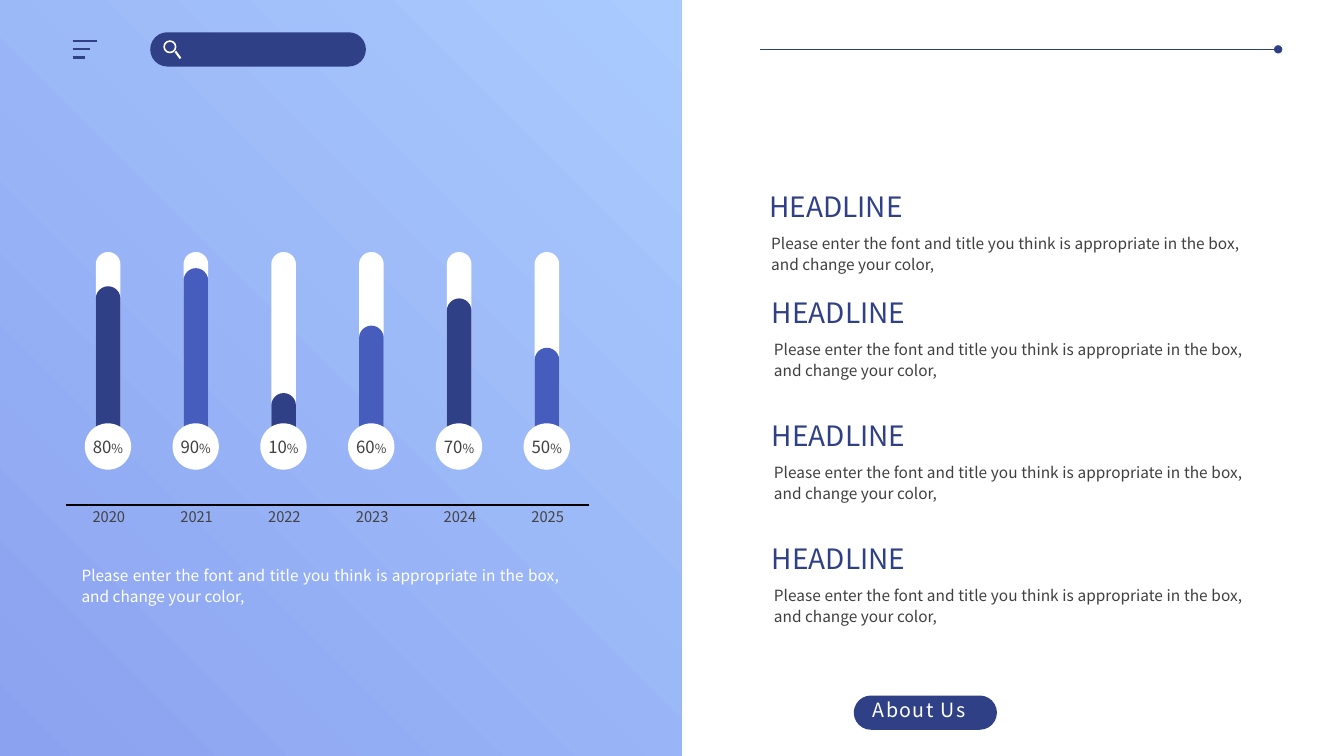
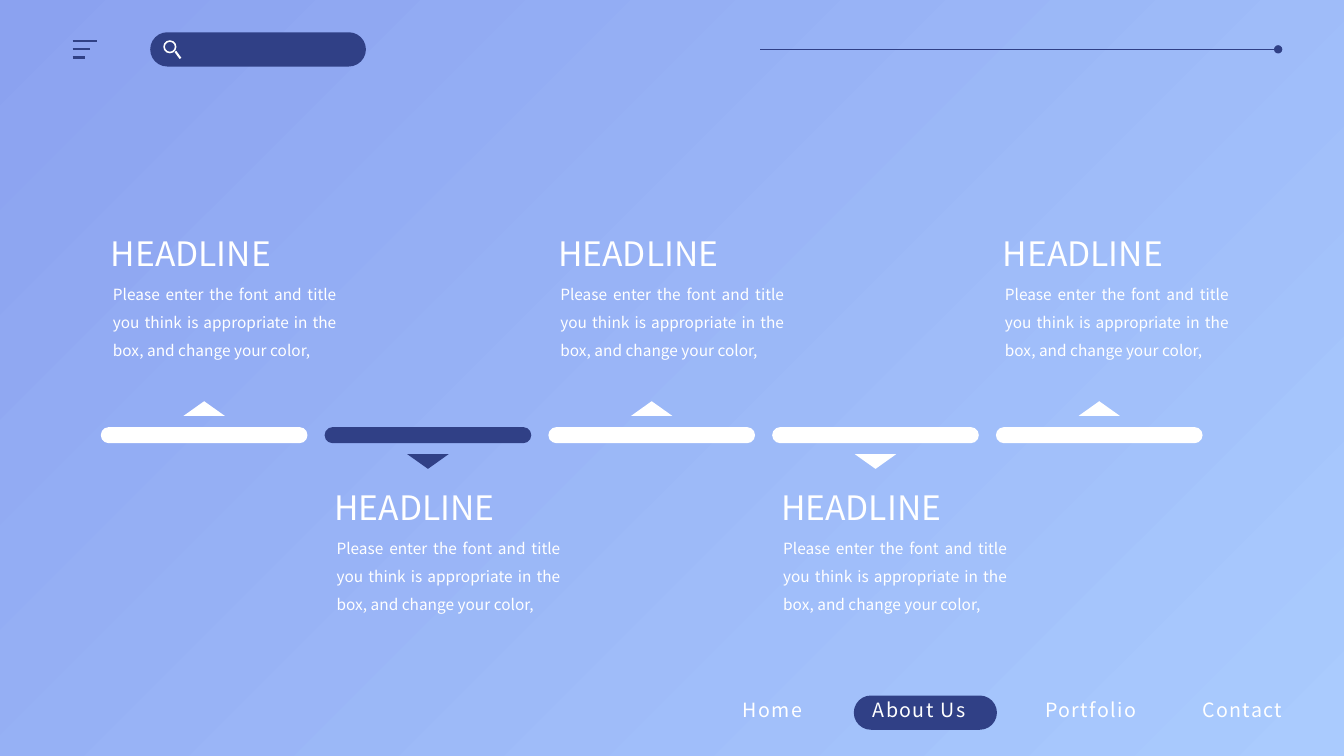
from dataclasses import dataclass
from typing import Any, NamedTuple, Optional

from lxml.etree import SubElement
from pptx import Presentation
from pptx.dml.color import RGBColor
from pptx.enum.shapes import MSO_CONNECTOR, MSO_SHAPE
from pptx.enum.text import MSO_ANCHOR, MSO_AUTO_SIZE, PP_ALIGN
from pptx.oxml.ns import qn
from pptx.util import Inches, Pt

WIDTH, HEIGHT = Inches(13.33), Inches(7.5)


@dataclass(frozen=True)
class Theme:
    font: str = "Noto Sans CJK SC"
    navy: str = "304086"
    blue: str = "475DBD"
    white: str = "FFFFFF"
    black: str = "000000"
    ink: str = "404040"
    year: str = "434343"
    sky: tuple[str, str] = ("8BA2F0", "AACBFE")
    small: float = 9
    label: float = 10.5
    body: float = 11
    value: float = 12
    nav: float = 14
    headline: float = 20
    headline_large: float = 24


THEME = Theme()


class Box(NamedTuple):
    """Left, top, width and height as percentages of the slide."""
    x: float
    y: float
    w: float
    h: float

    def emu(self) -> dict[str, int]:
        return {"left": across(self.x), "top": down(self.y),
                "width": across(self.w), "height": down(self.h)}


class Run(NamedTuple):
    text: str
    size: float
    color: str


class Bar(NamedTuple):
    year: str
    percent: int
    height: float


class NavItem(NamedTuple):
    label: str
    x: float
    w: float


class Step(NamedTuple):
    card_x: float
    color: str
    points_up: bool


@dataclass(frozen=True)
class CardStyle:
    title_size: float
    title_color: str
    body_color: str
    title_h: float
    body_w: float
    body_h: float
    spacing: float


HEADLINE = "HEADLINE"
BLURB = ("Please enter the font and title you think is appropriate "
         "in the box, and change your color,")
LIST_CARD = CardStyle(THEME.headline, THEME.navy, THEME.ink, 5.87, 36.38, 6.93, 15)
STEP_CARD = CardStyle(THEME.headline_large, THEME.white, THEME.white, 6.67, 18.15, 12.53, 20)
LIST_CARDS = ((56.48, 24.4), (56.7, 38.4), (56.7, 54.67), (56.7, 70.93))
BARS = (
    Bar("2020", 80, 22.13), Bar("2021", 90, 24.53), Bar("2022", 10, 8),
    Bar("2023", 60, 16.93), Bar("2024", 70, 20.53), Bar("2025", 50, 14),
)
ABOUT = NavItem("About Us", 64.2, 9.53)
NAV = (NavItem("Home", 54.53, 6.23), ABOUT,
       NavItem("Portfolio", 77.03, 8.55), NavItem("Contact", 88.73, 8.25))
STEPS = (
    Step(7.5, THEME.white, True), Step(24.15, THEME.navy, False),
    Step(40.8, THEME.white, True), Step(57.38, THEME.white, False),
    Step(73.88, THEME.white, True),
)


def across(share: float) -> int:
    return round(WIDTH * share / 100)


def down(share: float) -> int:
    return round(HEIGHT * share / 100)


def rgb(color: str) -> RGBColor:
    return RGBColor.from_string(color)


def assign(target: Any, values: dict[str, Any]) -> None:
    for name, value in values.items():
        setattr(target, name, value)


def sky_fill(fill: Any, angle: float) -> None:
    fill.gradient()
    fill.gradient_angle = angle
    for stop, color in zip(fill.gradient_stops, THEME.sky):
        stop.color.rgb = rgb(color)


def add_shape(slide: Any, kind: MSO_SHAPE, box: Box, color: Optional[str] = None) -> Any:
    sp = slide.shapes.add_shape(kind, **box.emu())
    sp.shadow.inherit = False
    sp.line.fill.background()
    if color:
        sp.fill.solid()
        sp.fill.fore_color.rgb = rgb(color)
    return sp


def add_pill(slide: Any, box: Box, color: str) -> None:
    add_shape(slide, MSO_SHAPE.ROUNDED_RECTANGLE, box, color).adjustments[0] = 0.5


def add_line(slide: Any, start: tuple[float, float], end: tuple[float, float],
             color: str, width: float, dot: bool = False) -> None:
    cx = slide.shapes.add_connector(
        MSO_CONNECTOR.STRAIGHT, across(start[0]), down(start[1]), across(end[0]), down(end[1]))
    cx.line.color.rgb = rgb(color)
    cx.line.width = Pt(width)
    if dot:
        SubElement(cx.line._get_or_add_ln(), qn("a:tailEnd"), type="oval")
    SubElement(cx._element.spPr, qn("a:effectLst"))


def write(sp: Any, runs: list[Run], frame: dict[str, Any],
          paragraph: dict[str, Any], tracking: int = 0) -> None:
    """Fill a shape with one paragraph; tracking is in hundredths of a point."""
    tf = sp.text_frame
    assign(tf, {"word_wrap": True, "vertical_anchor": MSO_ANCHOR.TOP} | frame)
    p = tf.paragraphs[0]
    assign(p, paragraph)
    for run in runs:
        r = p.add_run()
        r.text = run.text
        assign(r.font, {"name": THEME.font, "size": Pt(run.size)})
        r.font.color.rgb = rgb(run.color)
        if tracking:
            r._r.get_or_add_rPr().set("spc", str(tracking))


def add_text(slide: Any, box: Box, run: Run, frame: dict[str, Any],
             paragraph: dict[str, Any], tracking: int = 0) -> None:
    write(slide.shapes.add_textbox(**box.emu()), [run], frame, paragraph, tracking)


GROW = {"auto_size": MSO_AUTO_SIZE.SHAPE_TO_FIT_TEXT}


def justified(spacing: Optional[float] = None) -> dict[str, Any]:
    values: dict[str, Any] = {"alignment": PP_ALIGN.JUSTIFY}
    return values | {"line_spacing": Pt(spacing)} if spacing else values


def add_card(slide: Any, x: float, y: float, style: CardStyle, lead: bool) -> None:
    """Draw a headline over its text; the lead card uses the slide's placeholders."""
    title_box = Box(x, y, 16.58, style.title_h)
    body_box = Box(x + 0.15, y + 5.6, style.body_w, style.body_h)
    title = Run(HEADLINE, style.title_size, style.title_color)
    body = Run(BLURB, THEME.body, style.body_color)
    if not lead:
        add_text(slide, title_box, title, GROW, justified())
        add_text(slide, body_box, body, GROW, justified(style.spacing))
        return
    title_sp, body_sp = slide.shapes.title, slide.placeholders[1]
    assign(title_sp, title_box.emu())
    assign(body_sp, body_box.emu())
    write(title_sp, [title], GROW, justified())
    write(body_sp, [body], GROW, justified(style.spacing) | {"space_before": Pt(0)})
    pPr = body_sp.text_frame.paragraphs[0]._p.get_or_add_pPr()
    for name in ("marL", "indent"):
        pPr.set(name, "0")
    SubElement(pPr, qn("a:buNone"))


def add_header(slide: Any) -> None:
    add_pill(slide, Box(11.18, 4.27, 16.05, 4.53), THEME.navy)
    lens = add_shape(slide, MSO_SHAPE.DONUT, Box(12.15, 5.33, 0.98, 1.73), THEME.white)
    lens.adjustments[0] = 0.125
    add_line(slide, (13.05, 6.8), (13.43, 7.73), THEME.white, 1.5)
    for row, end in enumerate((7.2, 6.68, 6.3)):
        y = 5.47 + row * 1.07
        add_line(slide, (5.4, y), (end, y), THEME.navy, 1.5)
    add_line(slide, (56.55, 6.53), (95.1, 6.53), THEME.navy, 0.5, dot=True)


def add_nav(slide: Any, items: tuple[NavItem, ...]) -> None:
    add_pill(slide, Box(63.53, 92, 10.65, 4.53), THEME.navy)
    for item in items:
        add_text(slide, Box(item.x, 91.6, item.w, 4.53),
                 Run(item.label, THEME.nav, THEME.white),
                 GROW | {"word_wrap": False}, {"alignment": PP_ALIGN.LEFT}, tracking=100)


def add_bar(slide: Any, column: int, bar: Bar) -> None:
    x, base, w, full = 7.13 + column * 6.53, 60, 1.83, 26.67
    centred = {"alignment": PP_ALIGN.CENTER}
    inset = Inches(0.13)
    middle = {"vertical_anchor": MSO_ANCHOR.MIDDLE,
              "margin_top": inset, "margin_bottom": inset}
    add_pill(slide, Box(x, base - full, w, full), THEME.white)
    add_pill(slide, Box(x, base - bar.height, w, bar.height),
             THEME.blue if column % 2 else THEME.navy)
    badge = add_shape(slide, MSO_SHAPE.OVAL, Box(x - 0.82, 56, 3.45, 6.13), THEME.white)
    write(badge, [Run(str(bar.percent), THEME.value, THEME.ink),
                  Run("%", THEME.small, THEME.ink)],
          middle | {"word_wrap": False, "margin_left": 0, "margin_right": 0}, centred)
    add_text(slide, Box(x - 1.35, 66.8, 4.65, 3.2), Run(bar.year, THEME.label, THEME.year),
             middle | {"margin_left": inset, "margin_right": inset}, centred)


def add_step(slide: Any, column: int, step: Step) -> None:
    x = 7.5 + column * 16.65
    add_pill(slide, Box(x, 56.5, 15.38, 2.13), step.color)
    marker_y, card_y = (53.07, 30.13) if step.points_up else (60.07, 63.73)
    marker = add_shape(slide, MSO_SHAPE.ISOSCELES_TRIANGLE,
                       Box(x + 6.15, marker_y, 3.08, 1.95), step.color)
    marker.rotation = 0 if step.points_up else 180
    add_card(slide, step.card_x, card_y, STEP_CARD, lead=column == 0)


def build_chart_slide(prs: Any) -> None:
    slide = prs.slides.add_slide(prs.slide_layouts[1])
    panel = add_shape(slide, MSO_SHAPE.RECTANGLE, Box(0, 0, 50.7, 100))
    sky_fill(panel.fill, 45)
    add_header(slide)
    add_nav(slide, (ABOUT,))
    for column, bar in enumerate(BARS):
        add_bar(slide, column, bar)
    add_line(slide, (4.88, 66.8), (43.8, 66.8), THEME.black, 0.75)
    add_text(slide, Box(5.33, 73.87, 37.05, 6.93),
             Run(BLURB, THEME.body, THEME.white), GROW, justified(15))
    for row, (x, y) in enumerate(LIST_CARDS):
        add_card(slide, x, y, LIST_CARD, lead=row == 0)


def build_steps_slide(prs: Any) -> None:
    slide = prs.slides.add_slide(prs.slide_layouts[1])
    sky_fill(slide.background.fill, 315)
    add_header(slide)
    add_nav(slide, NAV)
    for column, step in enumerate(STEPS):
        add_step(slide, column, step)


def main() -> None:
    prs = Presentation()
    assign(prs, {"slide_width": WIDTH, "slide_height": HEIGHT})
    build_chart_slide(prs)
    build_steps_slide(prs)
    prs.save("out.pptx")


if __name__ == "__main__":
    main()
